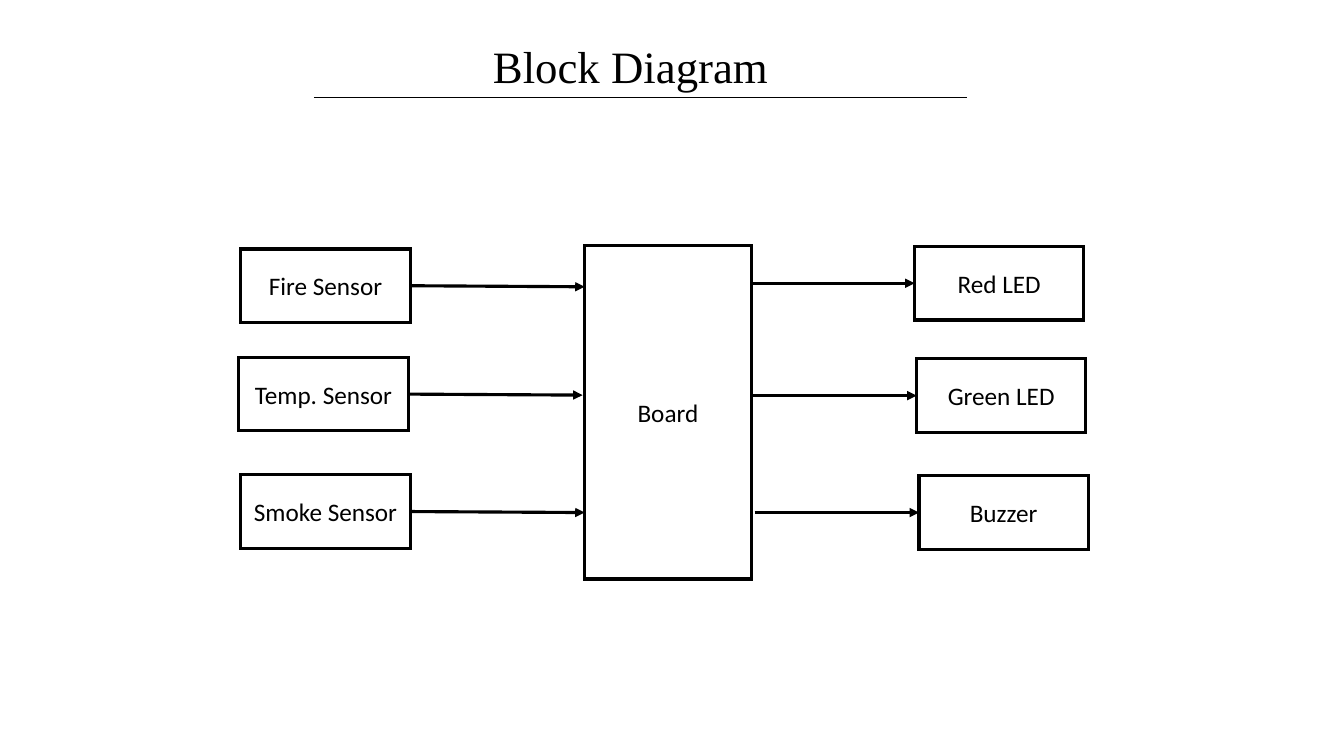
from lxml.etree import SubElement
from pptx import Presentation
from pptx.dml.color import RGBColor
from pptx.enum.shapes import MSO_CONNECTOR, MSO_SHAPE
from pptx.enum.text import MSO_ANCHOR, PP_ALIGN
from pptx.oxml.ns import qn
from pptx.util import Inches, Pt

COLORS = {"ink": "000000", "paper": "FFFFFF"}
WIDTH, HEIGHT = Inches(13.33), Inches(7.5)
COL, ROW = WIDTH / 40, HEIGHT / 30
BOX_W, BOX_H = 5.04, 2.92
SENSOR_REACH, OUTPUT_REACH, SENSOR_DROP = 5.19, 4.89, 0.04

SENSORS = [
    ("Fire Sensor", 7.17, 9.88),
    ("Smoke Sensor", 7.17, 18.84),
    ("Temp. Sensor", 7.11, 14.18),
]
OUTPUTS = [
    ("Red LED", 27.22, 9.78),
    ("Green LED", 27.28, 14.24),
    ("Buzzer", 27.35, 18.88),
]


def color(name):
    return RGBColor.from_string(COLORS[name])


def grid(*lengths):
    return [round(n * (ROW if i % 2 else COL)) for i, n in enumerate(lengths)]


def write(sp, text, size, font):
    tf = sp.text_frame
    tf.word_wrap = True
    p = tf.paragraphs[0]
    p.alignment = PP_ALIGN.CENTER
    r = p.add_run()
    r.text = text
    r.font.size = Pt(size)
    r.font.name = font
    r.font.color.rgb = color("ink")


def add_line(s, x1, y1, x2, y2, weight):
    line = s.shapes.add_connector(MSO_CONNECTOR.STRAIGHT, *grid(x1, y1, x2, y2))
    line.line.color.rgb = color("ink")
    line.line.width = Pt(weight)
    SubElement(line._element.spPr, qn("a:effectLst"))
    return line


def add_arrow(s, x1, y1, x2, y2):
    arrow = add_line(s, x1, y1, x2, y2, 2.25)
    SubElement(arrow.line._get_or_add_ln(), qn("a:tailEnd"), type="triangle")
    return arrow


def add_block(s, text, x, y, w=BOX_W, h=BOX_H):
    sp = s.shapes.add_shape(MSO_SHAPE.RECTANGLE, *grid(x, y, w, h))
    sp.shadow.inherit = False
    sp.fill.solid()
    sp.fill.fore_color.rgb = color("paper")
    sp.line.color.rgb = color("ink")
    sp.line.width = Pt(2.25)
    SubElement(sp.line._get_or_add_ln(), qn("a:miter"), lim="800000")
    sp.text_frame.vertical_anchor = MSO_ANCHOR.MIDDLE
    write(sp, text, 18, "Calibri")
    return sp


def add_title(s, text):
    write(s.shapes.add_textbox(*grid(8.76, 1.34, 20.02, 2.56)), text, 32, "Times New Roman")
    add_line(s, 9.34, 3.88, 28.78, 3.88, 0.5)


def add_sensor(s, text, x, y):
    block = add_block(s, text, x, y)
    right, middle = x + BOX_W, y + BOX_H / 2
    arrow = add_arrow(s, right, middle, right + SENSOR_REACH, middle + SENSOR_DROP)
    arrow.begin_connect(block, 3)


def add_output(s, text, x, y):
    block = add_block(s, text, x, y)
    middle = y + BOX_H / 2
    arrow = add_arrow(s, x - OUTPUT_REACH, middle, x, middle)
    arrow.end_connect(block, 1)


def main():
    prs = Presentation()
    prs.slide_width, prs.slide_height = WIDTH, HEIGHT
    s = prs.slides.add_slide(prs.slide_layouts[6])
    add_title(s, "Block Diagram")
    add_block(s, "Board", 17.4, 9.74, 4.96, 13.24)
    for sensor in SENSORS:
        add_sensor(s, *sensor)
    for output in OUTPUTS:
        add_output(s, *output)
    prs.save("out.pptx")


if __name__ == "__main__":
    main()
